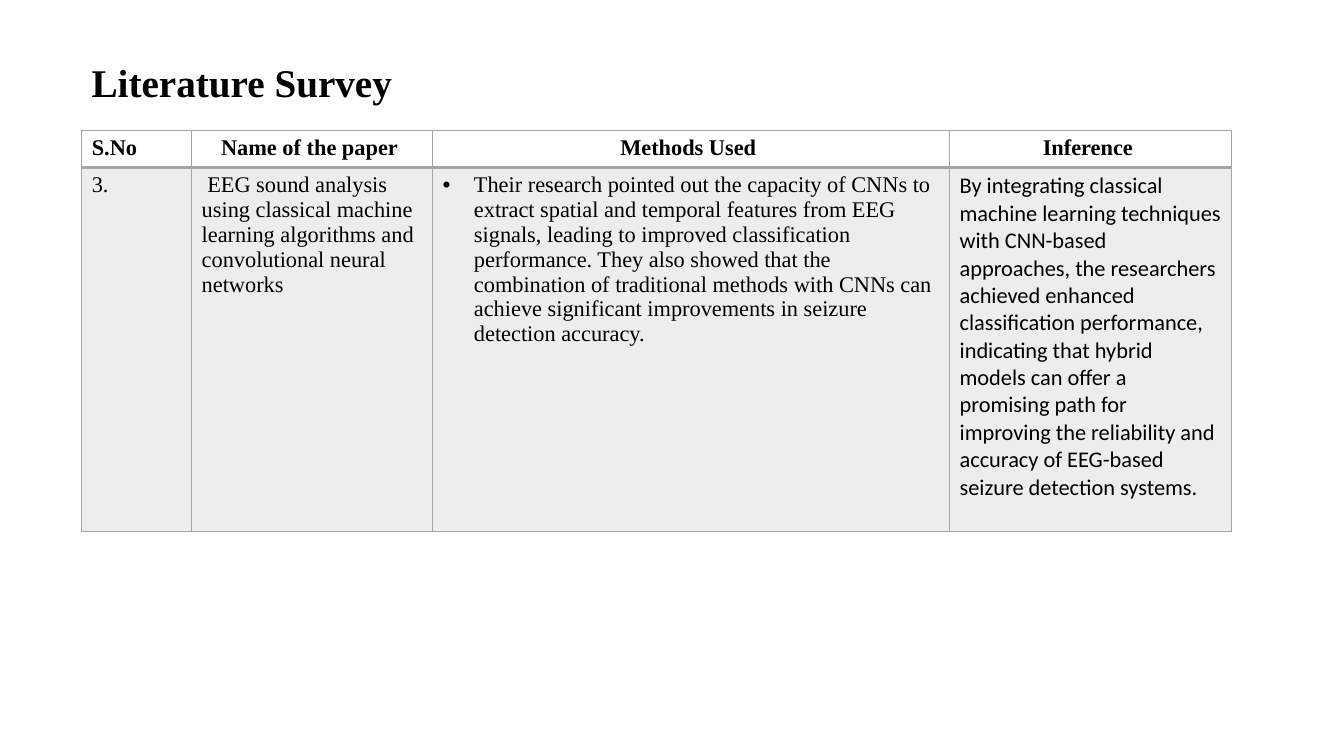
import pptx
import pptx.dml.color
import pptx.enum.text
import pptx.oxml.ns
import pptx.util
from lxml import etree

Cm, Pt = pptx.util.Cm, pptx.util.Pt
ALIGN = pptx.enum.text.PP_ALIGN
SERIF, SANS = "Times New Roman", "Calibri"
BLACK, GREY = "000000", "A5A5A5"
LEFT = Cm(2.06)

HEADINGS = ["S.No", "Name of the paper ", "Methods Used ", "Inference "]
SURVEY_ENTRY = [
    "3.",
    " EEG sound analysis using classical machine learning algorithms and "
    "convolutional neural networks",
    "Their research pointed out the capacity of CNNs to extract spatial and "
    "temporal features from EEG signals, leading to improved classification "
    "performance. They also showed that the combination of traditional methods "
    "with CNNs can achieve significant improvements in seizure detection accuracy.",
    "By integrating classical machine learning techniques with CNN-based "
    "approaches, the researchers achieved enhanced classification performance, "
    "indicating that hybrid models can offer a promising path for improving the "
    "reliability and accuracy of EEG-based seizure detection systems.",
]
COLUMN_WIDTHS = [2.77, 6.07, 13.03, 7.11]
ROW_HEIGHTS = [0.94, 9.17]


def color(hex_string):
    return pptx.dml.color.RGBColor.from_string(hex_string)


def add_element(parent, tag, **attributes):
    element = etree.SubElement(parent, pptx.oxml.ns.qn(tag))
    for name, value in attributes.items():
        element.set(name, str(value))
    return element


def write(text_frame, text, size, font=SERIF, bold=False, align=ALIGN.LEFT):
    text_frame.text = text
    paragraph = text_frame.paragraphs[0]
    paragraph.alignment = align
    for run in paragraph.runs:
        run.font.name = font
        run.font.size = Pt(size)
        run.font.bold = bold
        run.font.color.rgb = color(BLACK)


def add_bullet(paragraph, indent):
    properties = paragraph._p.get_or_add_pPr()
    properties.set("marL", str(indent))
    properties.set("indent", str(-indent))
    add_element(properties, "a:buFont", typeface="Arial")
    add_element(properties, "a:buChar", char="•")


def add_borders(cell, bottom_width):
    widths = {"a:lnL": 1, "a:lnR": 1, "a:lnT": 1, "a:lnB": bottom_width}
    for tag, width in widths.items():
        line = add_element(cell._tc.get_or_add_tcPr(), tag, w=Pt(width))
        add_element(add_element(line, "a:solidFill"), "a:srgbClr", val=GREY)


def tint(cell, opacity_percent):
    cell.fill.solid()
    cell.fill.fore_color.rgb = color(GREY)
    shade = cell._tc.tcPr.find(pptx.oxml.ns.qn("a:solidFill"))[0]
    add_element(shade, "a:alpha", val=opacity_percent * 1000)


def add_title(slide, text):
    title = slide.shapes.add_textbox(LEFT, Cm(1.35), Cm(16.94), Cm(1.45))
    title.text_frame.word_wrap = True
    write(title.text_frame, text, 28, bold=True)


def add_survey_table(slide):
    survey = slide.shapes.add_table(
        2, len(HEADINGS), LEFT, Cm(3.28),
        Cm(sum(COLUMN_WIDTHS)), Cm(sum(ROW_HEIGHTS))).table
    survey.horz_banding = False
    survey.first_row = False
    for column, width in zip(survey.columns, COLUMN_WIDTHS):
        column.width = Cm(width)
    for row, height in zip(survey.rows, ROW_HEIGHTS):
        row.height = Cm(height)

    # Heading row: the first heading is left-aligned, the others centred
    for index, heading in enumerate(HEADINGS):
        cell = survey.cell(0, index)
        align = ALIGN.CENTER if index else ALIGN.LEFT
        write(cell.text_frame, heading, 16, bold=True, align=align)
        add_borders(cell, bottom_width=2)
        cell.fill.background()

    # Survey entry
    entry_fonts = [SERIF, SERIF, SERIF, SANS]
    for index, (text, font) in enumerate(zip(SURVEY_ENTRY, entry_fonts)):
        cell = survey.cell(1, index)
        write(cell.text_frame, text, 16, font)
        add_borders(cell, bottom_width=1)
        tint(cell, 20)
    methods = survey.cell(1, HEADINGS.index("Methods Used "))
    add_bullet(methods.text_frame.paragraphs[0], Cm(0.79))


def main():
    presentation = pptx.Presentation()
    presentation.slide_width = Cm(33.87)
    presentation.slide_height = Cm(19.05)
    slide = presentation.slides.add_slide(presentation.slide_layouts[6])
    add_survey_table(slide)
    add_title(slide, "Literature Survey")
    presentation.save("out.pptx")


if __name__ == "__main__":
    main()
